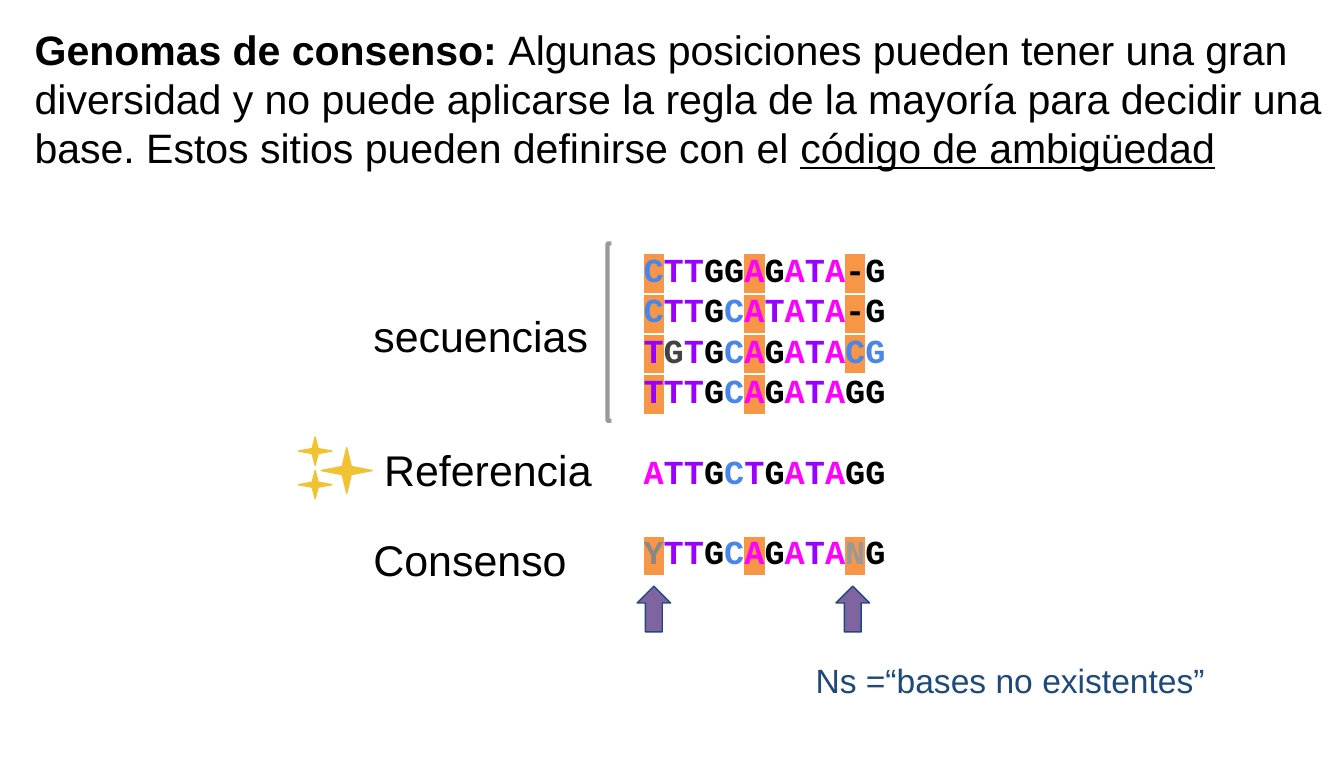
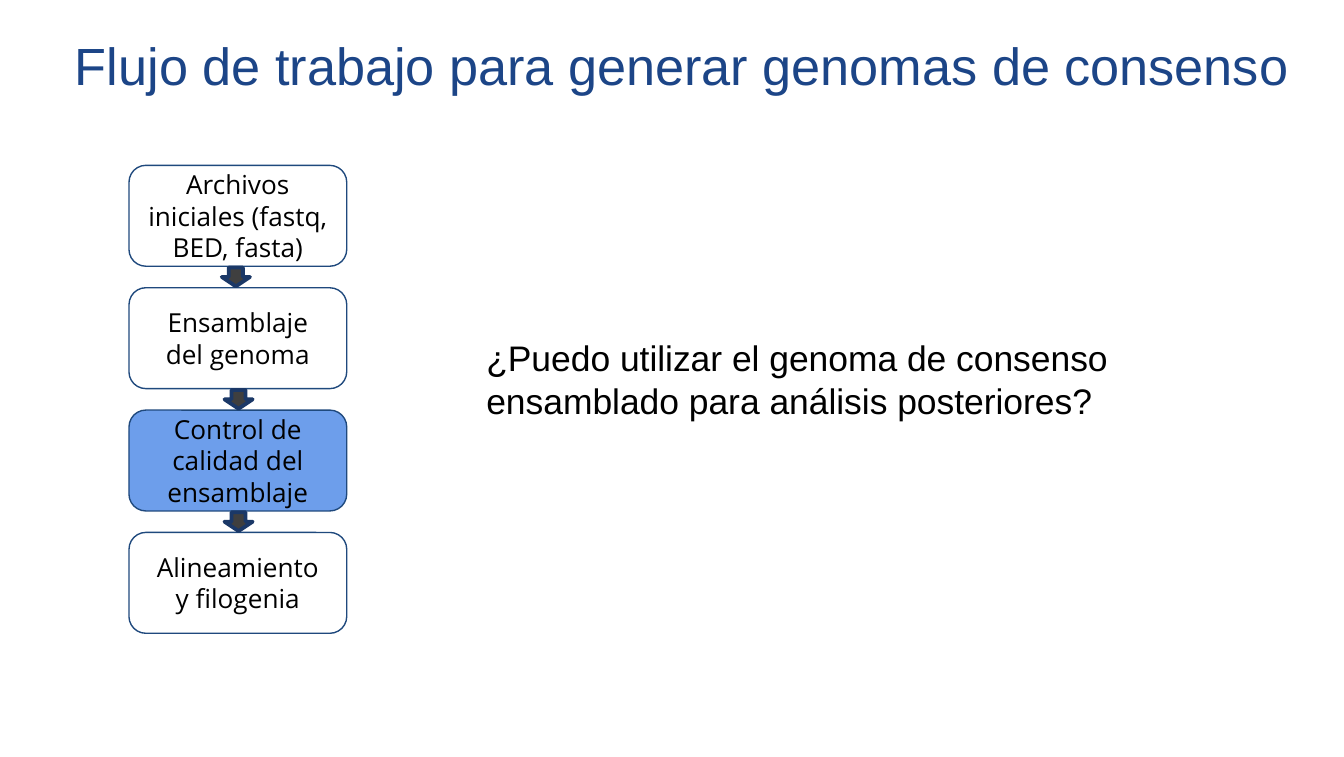
from dataclasses import dataclass
from itertools import groupby
from typing import NamedTuple, Optional

import pptx
import pptx.dml.color
import pptx.enum.shapes
import pptx.enum.text
import pptx.oxml
import pptx.oxml.ns
import pptx.util
from pptx.util import Inches

SHAPE = pptx.enum.shapes.MSO_SHAPE
ALIGN = pptx.enum.text.PP_ALIGN
ANCHOR = pptx.enum.text.MSO_ANCHOR
FIT = pptx.enum.text.MSO_AUTO_SIZE


@dataclass(frozen=True)
class Theme:
    sans: str = "Arial"
    mono: str = "Courier New"
    flow: str = "Open Sans"
    black: str = "000000"
    navy: str = "1F497D"
    title: str = "1C4587"
    orange: str = "F79646"
    gold: str = "F1C232"
    purple: str = "8064A2"
    bracket: str = "999999"
    active: str = "6D9EEB"
    step_arrow: str = "3F3F3F"
    step_arrow_line: str = "1B3867"
    title_size: int = 28
    label_size: int = 23
    lead_size: int = 22
    question_size: int = 19
    body_size: int = 18
    step_size: int = 14
    leading: float = 1.2


THEME = Theme()
BASE_COLORS = {"A": "FF00FF", "T": "9900FF", "C": "4A86E8", "G": THEME.black,
               "-": THEME.black, "Y": "888888", "N": "999999"}


class Box(NamedTuple):
    left: float
    top: float
    width: float
    height: float


class Sequence(NamedTuple):
    bases: str
    marked: tuple = ()
    recolored: dict = {}
    gap_before: bool = False


class Label(NamedTuple):
    text: str
    box: Box


class Step(NamedTuple):
    text: str
    fill: Optional[str] = None


# Slide 1 content
SEQUENCES = [
    Sequence("CTTGGAGATA-G", (0, 5, 10)),
    Sequence("CTTGCATATA-G", (0, 5, 10)),
    Sequence("TGTGCAGATACG", (0, 5, 10), {1: "434343", 11: BASE_COLORS["C"]}),
    Sequence("TTTGCAGATAGG", (0, 5)),
    Sequence("ATTGCTGATAGG", gap_before=True),
    Sequence("YTTGCAGATANG", (0, 5, 10), gap_before=True),
]
LABELS = [
    Label("secuencias", Box(2.68, 2.2, 1.96, 0.94)),
    Label("Consenso", Box(2.68, 3.87, 1.93, 0.94)),
    Label("Referencia", Box(2.76, 3.2, 1.93, 0.94)),
]
STARS = [Box(2.39, 3.33, 0.38, 0.34), Box(2.22, 3.25, 0.25, 0.21), Box(2.22, 3.5, 0.25, 0.21)]
AMBIGUOUS_ARROWS = [4.74, 6.22]

# Slide 2 content
STEPS = [
    Step("Archivos iniciales (fastq, BED, fasta)"),
    Step("Ensamblaje del genoma"),
    Step("Control de calidad del ensamblaje", THEME.active),
    Step("Alineamiento y filogenia"),
]
STEP_TOP, STEP_PITCH = 1.23, 0.91
STEP_ARROW_LEFTS = [1.65, 1.67, 1.67]


def rgb(color: str) -> pptx.dml.color.RGBColor:
    return pptx.dml.color.RGBColor.from_string(color)


def add_run(p, text: str, *, size: float, font: str = THEME.sans, color: str = THEME.black,
            bold: bool = False, underline: bool = False, highlight: Optional[str] = None):
    """Append formatted text to a paragraph and fix its line pitch."""
    p.line_spacing = pptx.util.Pt(size * THEME.leading)
    r = p.add_run()
    r.text = text
    r.font.size, r.font.name = pptx.util.Pt(size), font
    r.font.bold, r.font.underline = bold, underline
    r.font.color.rgb = rgb(color)
    if highlight:
        mark = pptx.oxml.parse_xml(
            f'<a:highlight {pptx.oxml.ns.nsdecls("a")}><a:srgbClr val="{highlight}"/></a:highlight>')
        r.font.fill._xPr.find(pptx.oxml.ns.qn("a:solidFill")).addnext(mark)
    return r


def set_frame(tf, anchor=ANCHOR.TOP) -> None:
    tf.word_wrap = True
    tf.vertical_anchor = anchor
    tf.margin_left = tf.margin_right = tf.margin_top = tf.margin_bottom = Inches(0.1)


def add_box(s, box: Box, grow: bool = False):
    """Add an empty text box and return its text frame."""
    tf = s.shapes.add_textbox(*map(Inches, box)).text_frame
    set_frame(tf)
    if grow:
        tf.auto_size = FIT.SHAPE_TO_FIT_TEXT
    return tf


def add_shape(s, kind, box: Box, *, line: str, width: float = 0.75,
              fill: Optional[str] = None, adjust: Optional[float] = None):
    sp = s.shapes.add_shape(kind, *map(Inches, box))
    sp.shadow.inherit = False
    if fill:
        sp.fill.solid()
        sp.fill.fore_color.rgb = rgb(fill)
    else:
        sp.fill.background()
    sp.line.color.rgb = rgb(line)
    sp.line.width = pptx.util.Pt(width)
    if adjust is not None:
        sp.adjustments[0] = adjust
    return sp


def add_sequence(p, sequence: Sequence) -> None:
    """Write one aligned sequence, one run per colour and highlight."""
    if sequence.gap_before:
        p.space_before = pptx.util.Pt(THEME.body_size * THEME.leading)

    def style(position: int) -> tuple:
        color = sequence.recolored.get(position, BASE_COLORS[sequence.bases[position]])
        return color, THEME.orange if position in sequence.marked else None

    for (color, highlight), positions in groupby(range(len(sequence.bases)), key=style):
        add_run(p, "".join(sequence.bases[i] for i in positions), size=THEME.body_size,
                font=THEME.mono, color=color, bold=True, highlight=highlight)


def build_consensus(s) -> None:
    # Lead paragraph
    p = add_box(s, Box(0.16, 0.08, 9.84, 0.72)).paragraphs[0]
    add_run(p, "Genomas de consenso: ", size=THEME.lead_size, bold=True)
    add_run(p, "Algunas posiciones pueden tener una gran diversidad y no puede aplicarse la regla "
               "de la mayoría para decidir una base. Estos sitios pueden definirse con el ",
            size=THEME.lead_size)
    add_run(p, "código de ambigüedad", size=THEME.lead_size, underline=True)

    # Alignment
    tf = add_box(s, Box(4.69, 1.75, 2.39, 2.58))
    for i, sequence in enumerate(SEQUENCES):
        add_sequence(tf.add_paragraph() if i else tf.paragraphs[0], sequence)

    # Row labels, bracket and stars
    for label in LABELS:
        add_run(add_box(s, label.box).paragraphs[0], label.text, size=THEME.label_size)
    add_shape(s, SHAPE.LEFT_BRACKET, Box(4.52, 1.81, 0.03, 1.32), line=THEME.bracket, width=2.25)
    for box in STARS:
        add_shape(s, SHAPE.STAR_4_POINT, box, line=THEME.gold, fill=THEME.gold, adjust=0.125)

    # Ambiguous positions
    p = add_box(s, Box(5.97, 4.81, 3.74, 0.47)).paragraphs[0]
    add_run(p, "Ns =“bases no existentes”", size=THEME.body_size, color=THEME.navy)
    for left in AMBIGUOUS_ARROWS:
        add_shape(s, SHAPE.UP_ARROW, Box(left, 4.36, 0.25, 0.34), line=THEME.navy,
                  fill=THEME.purple)


def build_workflow(s) -> None:
    # Title and question
    p = add_box(s, Box(0.36, 0.15, 9.42, 0.67), grow=True).paragraphs[0]
    p.alignment = ALIGN.CENTER
    add_run(p, "Flujo de trabajo para generar genomas de consenso",
            size=THEME.title_size, color=THEME.title)
    p = add_box(s, Box(3.52, 2.4, 6.19, 0.84), grow=True).paragraphs[0]
    add_run(p, "¿Puedo utilizar el genoma de consenso ensamblado para análisis posteriores?",
            size=THEME.question_size)

    # Steps
    for i, step in enumerate(STEPS):
        sp = add_shape(s, SHAPE.ROUNDED_RECTANGLE,
                       Box(0.96, STEP_TOP + i * STEP_PITCH, 1.62, 0.75),
                       line=THEME.navy, fill=step.fill)
        set_frame(sp.text_frame, ANCHOR.MIDDLE)
        p = sp.text_frame.paragraphs[0]
        p.alignment = ALIGN.CENTER
        add_run(p, step.text, size=THEME.step_size, font=THEME.flow)

    # Arrows between steps
    for i, left in enumerate(STEP_ARROW_LEFTS):
        add_shape(s, SHAPE.DOWN_ARROW, Box(left, 1.99 + i * STEP_PITCH, 0.21, 0.14),
                  line=THEME.step_arrow_line, width=2, fill=THEME.step_arrow)


def main() -> None:
    prs = pptx.Presentation()
    prs.slide_width, prs.slide_height = Inches(10), Inches(5.63)
    for build in (build_consensus, build_workflow):
        build(prs.slides.add_slide(prs.slide_layouts[6]))
    prs.save("out.pptx")


if __name__ == "__main__":
    main()
